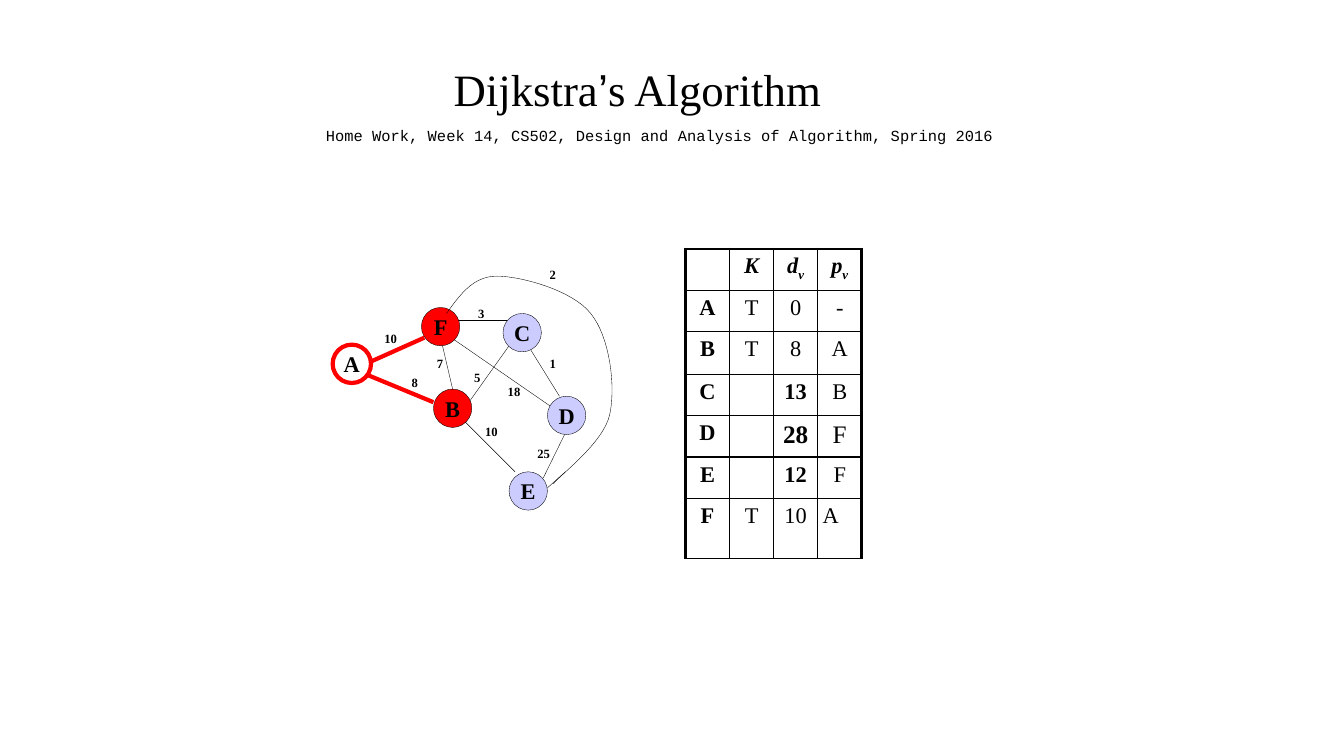
"""Build a slide that shows Dijkstra's algorithm on a small graph with its table."""
import dataclasses

import lxml.etree
import pptx
import pptx.dml.color
import pptx.enum.shapes
import pptx.enum.text
import pptx.oxml.ns
import pptx.util

Pt = pptx.util.Pt
qn = pptx.oxml.ns.qn
MID = pptx.enum.text.MSO_ANCHOR.MIDDLE
TOP = pptx.enum.text.MSO_ANCHOR.TOP
LEFT = pptx.enum.text.PP_ALIGN.LEFT
CENTER = pptx.enum.text.PP_ALIGN.CENTER


@dataclasses.dataclass(frozen=True)
class Theme:
    ink: str = "000000"
    red: str = "FF0000"
    pale: str = "CCCCFF"
    white: str = "FFFFFF"
    serif: str = "Times New Roman"
    sans: str = "Arial"
    mono: str = "Courier New"
    title: float = 32
    large: float = 18
    main: float = 16
    note: float = 11
    small: float = 9
    thin: float = 0.25
    rule: float = 1
    frame: float = 2.25
    thick: float = 3


THEME = Theme()

NODES = [
    ("A", 237.6, 246.2, THEME.white, THEME.red, THEME.thick),
    ("B", 309.6, 277.9, THEME.red, THEME.ink, THEME.thin),
    ("F", 301, 219.6, THEME.red, THEME.ink, THEME.thin),
    ("C", 359.3, 223.9, THEME.pale, THEME.ink, THEME.thin),
    ("D", 391, 283, THEME.pale, THEME.ink, THEME.thin),
    ("E", 363.6, 337, THEME.pale, THEME.ink, THEME.thin),
]
EDGES = [
    (410.4, 295.9, 388.1, 341.3),
    (313.9, 237.6, 323.3, 277.9),
    (331.9, 291.6, 363.6, 247),
    (395.3, 291.6, 323.3, 241.9),
    (326.2, 229, 362.2, 229),
    (377.3, 247, 399.6, 283),
    (331.9, 301, 367.9, 337),
    (403.9, 337, 391, 348.5),
]
TREE = [(255.6, 265, 309.6, 287.3), (262.8, 259.2, 303.1, 241.2)]
COSTS = [
    ("25", 388.4, 322.9), ("10", 351, 307.1), ("18", 367.2, 279),
    ("1", 394.9, 258.8), ("5", 340.9, 268.9), ("3", 343.8, 222.8),
    ("7", 314.3, 258.8), ("8", 296.3, 272.5), ("10", 279, 240.8),
    ("2", 394.9, 195.5),
]
ARC = [
    (319, 223.9), (328.3, 211), (337.7, 197.3), (355, 197.3),
    (372.2, 197.3), (409, 207.4), (421.9, 223.9),
    (435.6, 240.5), (439.9, 275.8), (435.6, 295.9),
    (431.3, 316.1), (401.8, 337.7), (395.3, 345.6),
]
HEADS = [("", ""), ("K", ""), ("d", "v"), ("p", "v")]
ROWS = [
    ("A", "T", "0", "-"), ("B", "T", "8", "A"), ("C", "", "13", "B"),
    ("D", "", "28", "F"), ("E", "", "12", "F"), ("F", "T", "10", "A"),
]
TALL = [29.5, 29.5, 30.7, 29.5, 29.5, 29.5, 43]


def paint(hue):
    return pptx.dml.color.RGBColor.from_string(hue)


def write(par, text, size=THEME.main, face=THEME.serif, bold=False, slant=False, base=0):
    run = par.add_run()
    run.text = text
    run.font.size, run.font.name = Pt(size), face
    run.font.bold, run.font.italic = bold, slant
    run.font.color.rgb = paint(THEME.ink)
    if base:
        run._r.get_or_add_rPr().set("baseline", str(base * 1000))


def bend(knots, steps=16):
    for k in range(0, len(knots) - 1, 3):
        a, b, c, d = knots[k:k + 4]
        for step in range(1, steps + 1):
            t = step / steps
            u = 1 - t
            yield tuple(
                u**3 * p + 3 * u * u * t * q + 3 * u * t * t * r + t**3 * s
                for p, q, r, s in zip(a, b, c, d)
            )


class Board:
    def __init__(self, deck, theme):
        self.theme = theme
        self.slide = deck.slides.add_slide(deck.slide_layouts[5])
        self.shapes = self.slide.shapes

    def frame(self, shape, inset, anchor=TOP, wrap=True):
        text = shape.text_frame
        text.auto_size = pptx.enum.text.MSO_AUTO_SIZE.NONE
        text.word_wrap, text.vertical_anchor = wrap, anchor
        text.margin_left = text.margin_right = Pt(inset)
        text.margin_top = text.margin_bottom = Pt(inset)
        text.paragraphs[0].alignment = CENTER
        return text.paragraphs[0]

    def title(self, parts, x, y, w, h):
        shape = self.shapes.title
        shape.left, shape.top, shape.width, shape.height = map(Pt, (x, y, w, h))
        par = self.frame(shape, 2.9, wrap=False)
        for text, face in parts:
            write(par, text, size=self.theme.title, face=face)

    def label(self, text, x, y, w, h, inset=2.9, **form):
        shape = self.shapes.add_textbox(*map(Pt, (x, y, w, h)))
        write(self.frame(shape, inset), text, **form)

    def node(self, name, x, y, fill, edge, width, size=27.4):
        oval = pptx.enum.shapes.MSO_SHAPE.OVAL
        shape = self.shapes.add_shape(oval, *map(Pt, (x, y, size, size)))
        shape.shadow.inherit = False
        shape.fill.solid()
        shape.fill.fore_color.rgb = paint(fill)
        shape.line.color.rgb, shape.line.width = paint(edge), Pt(width)
        write(self.frame(shape, 0, MID, False), name, bold=True)

    def line(self, ends, hue, width):
        kind = pptx.enum.shapes.MSO_CONNECTOR.STRAIGHT
        line = self.shapes.add_connector(kind, *map(Pt, ends))
        line.line.color.rgb, line.line.width = paint(hue), Pt(width)
        lxml.etree.SubElement(line._element.spPr, qn("a:effectLst"))

    def curve(self, knots):
        pen = self.shapes.build_freeform(*map(Pt, knots[0]))
        pen.add_line_segments([(Pt(x), Pt(y)) for x, y in bend(knots)], close=False)
        shape = pen.convert_to_shape()
        shape.shadow.inherit = False
        shape.fill.background()
        shape.line.color.rgb = paint(self.theme.ink)
        shape.line.width = Pt(self.theme.thin)

    def cell(self, cell, parts, wide, align=CENTER, **form):
        for side in "LRTB":
            width = self.theme.frame if side in wide else self.theme.rule
            rule = lxml.etree.SubElement(
                cell._tc.get_or_add_tcPr(), qn("a:ln" + side), w=str(Pt(width)))
            fill = lxml.etree.SubElement(rule, qn("a:solidFill"))
            lxml.etree.SubElement(fill, qn("a:srgbClr"), val=self.theme.ink)
        cell.fill.background()
        cell.margin_left = cell.margin_right = Pt(3.6)
        cell.margin_top = cell.margin_bottom = Pt(3.6)
        par = cell.text_frame.paragraphs[0]
        par.alignment = align
        for text, base in zip(parts, (0, -25)):
            if text:
                write(par, text, base=base, **form)

    def table(self, x, y, w):
        size = len(TALL), len(HEADS)
        grid = self.shapes.add_table(*size, *map(Pt, (x, y, w, sum(TALL)))).table
        grid.first_row = grid.horz_banding = False
        for row, tall in zip(grid.rows, TALL):
            row.height = Pt(tall)
        for col, head in enumerate(HEADS):
            wide = {0: "L", len(HEADS) - 1: "R"}.get(col, "")
            self.cell(grid.cell(0, col), head, wide + "T", bold=True, slant=True)
            for row, data in enumerate(ROWS, 1):
                name, known = data[:2]
                self.cell(
                    grid.cell(row, col), (data[col],), wide,
                    align=LEFT if (name, col) == ("F", 3) else CENTER,
                    bold=col == 0 or (col == 2 and not known),
                    size=self.theme.large if name == "D" and col > 1 else self.theme.main)


def main():
    deck = pptx.Presentation()
    deck.slide_width, deck.slide_height = Pt(960), Pt(540)
    board = Board(deck, THEME)
    board.title(
        [("Dijkstra", THEME.serif), ("’", THEME.sans), ("s Algorithm", THEME.serif)],
        321, 41, 268.6, 41.8)
    board.label(
        "Home Work, Week 14, CS502, Design and Analysis of Algorithm, Spring 2016",
        221.8, 87.8, 499, 16.6, inset=2.2, size=THEME.note, face=THEME.mono)
    board.table(489.6, 177.8, 126)
    for ends in EDGES:
        board.line(ends, THEME.ink, THEME.thin)
    for ends in TREE:
        board.line(ends, THEME.red, THEME.thick)
    for node in NODES:
        board.node(*node)
    board.curve(ARC)
    for cost, x, y in COSTS:
        board.label(cost, x - 14, y - 7.5, 28, 15, size=THEME.small, bold=True)
    deck.save("out.pptx")


if __name__ == "__main__":
    main()
